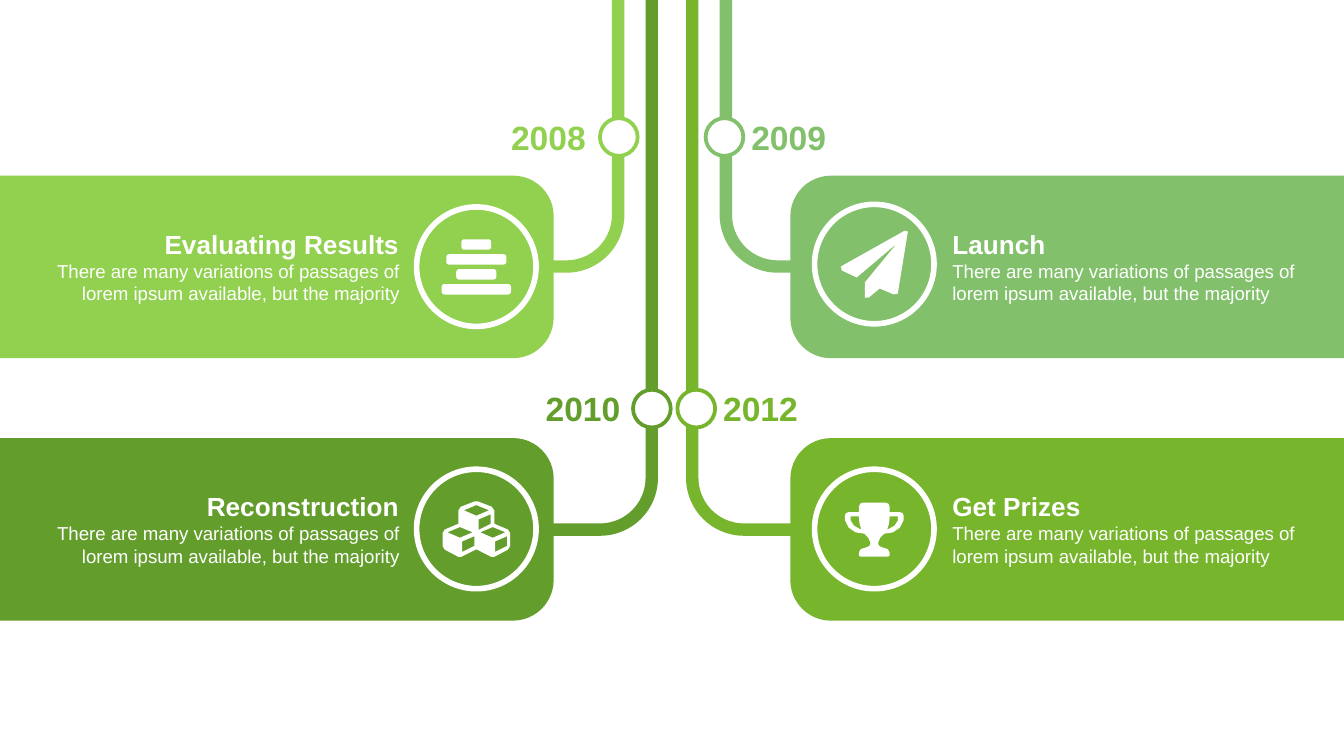
from math import cos, pi, sin

from pptx import Presentation
from pptx.dml.color import RGBColor
from pptx.enum.shapes import MSO_SHAPE
from pptx.enum.text import MSO_ANCHOR, MSO_AUTO_SIZE, PP_ALIGN
from pptx.oxml.ns import qn
from pptx.util import Pt

ARROW = MSO_SHAPE.BENT_ARROW
CARD = MSO_SHAPE.ROUND_2_SAME_RECTANGLE
OVAL = MSO_SHAPE.OVAL
LEFT, RIGHT = PP_ALIGN.LEFT, PP_ALIGN.RIGHT
TOP, MIDDLE = MSO_ANCHOR.TOP, MSO_ANCHOR.MIDDLE
FIT_SHAPE = MSO_AUTO_SIZE.SHAPE_TO_FIT_TEXT

COLORS = {"white": "FFFFFF", "lime": "92D050", "sage": "82C06C",
          "forest": "639D2C", "leaf": "77B52D"}
BODY = "There are many variations of passages of lorem ipsum available, but the majority"


class Timeline:
    """Style and current slide; positions are in points."""
    font = "Arial"

    def __init__(self, slide):
        self.shapes = slide.shapes

    def color(self, name):
        return RGBColor.from_string(COLORS[name])

    def paint(self, sp, fill, line=None, weight=0):
        sp.shadow.inherit = False
        sp.fill.solid()
        sp.fill.fore_color.rgb = self.color(fill)
        if line:
            sp.line.color.rgb = self.color(line)
            sp.line.width = Pt(weight)
        else:
            sp.line.fill.background()

    def preset(self, kind, cx, cy, w, h, fill, adj=(), rotation=0, line=None, weight=0):
        sp = self.shapes.add_shape(kind, Pt(cx - w / 2), Pt(cy - h / 2), Pt(w), Pt(h))
        for i, value in enumerate(adj):
            sp.adjustments[i] = value
        sp.rotation = rotation
        self.paint(sp, fill, line, weight)
        return sp

    def branch(self, cx, cy, length, fill, on_left):
        sp = self.preset(ARROW, cx, cy, length, 60.5, fill,
                         (0.177, 0.055, 0, 0.513), 270 if on_left else 90)
        xfrm = sp._element.spPr.find(qn("a:xfrm"))
        xfrm.set("flipV", "1")
        if not on_left:
            xfrm.set("flipH", "1")

    def card(self, cy, fill, on_left):
        self.preset(CARD, 148.3 if on_left else 571.7, cy, 97.8, 296.6, fill,
                    (0.222, 0), 90 if on_left else 270)

    def circle(self, cx, cy, size, fill, line, weight):
        self.preset(OVAL, cx, cy, size, size, fill, line=line, weight=weight)

    def icon(self, cx, cy, contours):
        builder = None
        for contour in contours:
            points = [(Pt(cx + x), Pt(cy + y)) for x, y in contour]
            if builder is None:
                builder = self.shapes.build_freeform(*points[0], scale=1.0)
            else:
                builder.move_to(*points[0])
            builder.add_line_segments(points[1:], close=True)
        self.paint(builder.convert_to_shape(), "white")

    def text(self, x, y, w, h, text, size, color, align=LEFT, bold=False,
             wrap=False, anchor=MIDDLE):
        tf = self.shapes.add_textbox(Pt(x), Pt(y), Pt(w), Pt(h)).text_frame
        tf.margin_left = tf.margin_right = tf.margin_top = tf.margin_bottom = 0
        tf.word_wrap = wrap
        tf.auto_size = FIT_SHAPE
        tf.vertical_anchor = anchor
        p = tf.paragraphs[0]
        p.alignment = align
        r = p.add_run()
        r.text = text
        r.font.name = self.font
        r.font.size = Pt(size)
        r.font.bold = bold
        r.font.color.rgb = self.color(color)


# Icon outlines, relative to the icon centre
def mirror(points):
    return [(-x, y) for x, y in points]


def symmetric(half):
    return half + mirror(half)[::-1]


def shift(points, dx, dy):
    return [(x + dx, y + dy) for x, y in points]


def rounded_bar(width, top, height=5.6, radius=1.6):
    dx, dy, mid = width / 2 - radius, height / 2 - radius, top + height / 2
    points = []
    for corner, (sx, sy) in enumerate([(1, 1), (-1, 1), (-1, -1), (1, -1)]):
        for step in range(5):
            angle = (corner + step / 4) * pi / 2
            points.append((sx * dx + radius * cos(angle),
                           mid + sy * dy + radius * sin(angle)))
    return points


bars = [rounded_bar(w, -14.7 + 8 * i) for i, w in enumerate([16, 32.2, 21.5, 37.2])]

plane = [[(18, -17.4), (12.6, 15.8), (10.5, 16.3), (2.9, 13.1), (-3, 18), (-5.1, 18),
          (-5.1, 9.9), (12.1, -11), (-9.4, 7.2), (-17.4, 3.5), (-17.9, 1.3),
          (16.3, -17.9)]]

cube_top = [(-15.5, 1.8), (-8.8, -1), (-2, 1.8), (-8.8, 4.7)]
cube_side = [(-7.6, 6.7), (-1.1, 3.9), (-1.1, 9.1), (-7.6, 12.3)]
cubes = [symmetric([(-0.8, -14.8), (-8.3, -11.9), (-9.6, -9.9), (-9.6, -2.8),
                    (-16.9, 0.3), (-18.1, 2.2), (-18.1, 9.2), (-16.9, 11.1),
                    (-9.7, 14.9), (-8, 14.9), (-0.4, 11.1)])]
cubes += [shift(face, dx, dy) for dx, dy in [(0, 0), (17.6, 0), (8.8, -11.8)]
          for face in (cube_top, cube_side)]

handle = [(-8.3, -6.8), (-12.7, -6.8), (-12.7, -4.7), (-10.9, -1.8), (-6.9, 0.4),
          (-7.9, -3)]
trophy = [symmetric([(-6, -14.2), (-7.6, -13.5), (-8.3, -11.8), (-8.3, -9),
                     (-13.8, -9), (-15.2, -8.5), (-15.7, -7.2), (-15.7, -4.7),
                     (-13.8, -0.8), (-10, 1.8), (-5.4, 2.5), (-3.2, 4.7), (-2, 7.5),
                     (-2.6, 9.1), (-4.5, 9.9), (-7.2, 10.8), (-8.3, 12.6),
                     (-8.3, 14.1), (-7.5, 14.8)]), handle, mirror(handle)]

# Year, colour, left side?, title and its width, icon, circle y, branch x, dot x, year x
EVENTS = [
    ("2008", "lime", True, "Evaluating Results", 127, bars, 142.9, 304.2, 331.5, 273.8),
    ("2009", "sage", False, "Launch", 53, plane, 141.5, 415.8, 388.1, 402.5),
    ("2010", "forest", True, "Reconstruction", 105, cubes, 283.4, 322.2, 349.2, 292.3),
    ("2012", "leaf", False, "Get Prizes", 72, trophy, 283.4, 397.8, 373, 387.4),
]
# Branch centre and length, card centre, dot centre, title top
ROWS = [(72, 148.3, 143, 73.4, 122.2), (142.7, 288.7, 283.6, 218.9, 262.8)]

prs = Presentation()
prs.slide_width, prs.slide_height = Pt(720), Pt(405)
tl = Timeline(prs.slides.add_slide(prs.slide_layouts[6]))

for i, (year, color, on_left, title, width, icon, circle_y, branch_x, dot_x,
        year_x) in enumerate(EVENTS):
    branch_y, length, card_y, dot_y, title_y = ROWS[i // 2]
    circle_x = 255.2 if on_left else 468.4
    align = RIGHT if on_left else LEFT
    text_x = 510.2

    # Branch and card
    tl.branch(branch_x, branch_y, length, color, on_left)
    tl.card(card_y, color, on_left)

    # Icon in its ring
    tl.circle(circle_x, circle_y, 64, color, "white", 3)
    tl.icon(circle_x, circle_y, icon)

    # Title and description
    title_x, body_x = (213.8 - width, 15.1) if on_left else (text_x, text_x)
    tl.text(title_x, title_y, width, 17, title, 14, "white", align, bold=True)
    tl.text(body_x, title_y + 17, 198.7, 24.3, BODY, 10, "white", align,
            wrap=True, anchor=TOP)

    # Dot and year
    tl.circle(dot_x, dot_y, 20.2, "white", color, 2)
    tl.text(year_x, dot_y - 10.8, 40.2, 21.6, year, 18, color, bold=True)

prs.save("out.pptx")
